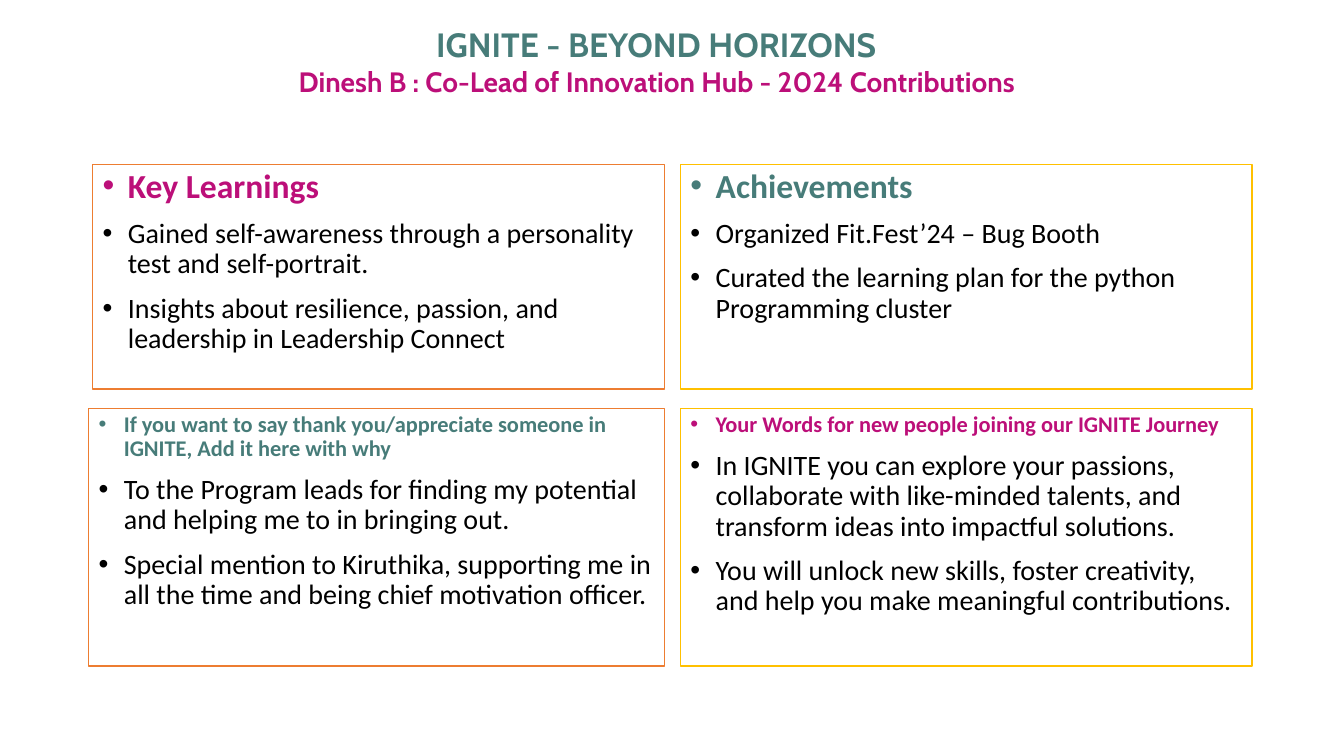
"""Build the IGNITE contributions slide: a title above a two-by-two grid of bulleted panels."""
from lxml import etree
from pptx import Presentation
from pptx.dml.color import RGBColor
from pptx.enum.shapes import MSO_SHAPE as Shape
from pptx.enum.text import MSO_ANCHOR as Anchor, MSO_AUTO_SIZE as AutoSize, PP_ALIGN as Align
from pptx.oxml.ns import qn
from pptx.util import Inches, Pt

TEAL, MAGENTA, BLACK, WHITE = "477C79", "BC0F79", "000000", "FFFFFF"
ORANGE, GOLD = "ED7D31", "FFC000"
LEFT, COL_W, COL_GAP = 0.92, 5.67, 0.16
ROWS = ((1.63, 2.23), (4.05, 2.56))
INDENT = 0.25

PANELS = (
    (0, 0, 0, ORANGE, "Key Learnings", 24, MAGENTA, (
        "Gained self-awareness through a personality test and self-portrait.",
        "Insights about resilience, passion, and leadership in Leadership Connect")),
    (1, 0, 0, GOLD, "Achievements", 24, TEAL, (
        "Organized Fit.Fest’24 – Bug Booth",
        "Curated the learning plan for the python Programming cluster")),
    (0, 1, 0.04, ORANGE,
     "If you want to say thank you/appreciate someone in IGNITE, Add it here with why", 16, TEAL, (
         "To the Program leads for finding my potential and helping me to in bringing out.",
         "Special mention to Kiruthika, supporting me in all the time and being chief "
         "motivation officer.")),
    (1, 1, 0, GOLD, "Your Words for new people joining our IGNITE Journey", 16, MAGENTA, (
        "In IGNITE you can explore your passions, collaborate with like-minded talents, "
        "and transform ideas into impactful solutions.",
        "You will unlock new skills, foster creativity, and help you make meaningful "
        "contributions.")),
)


def rgb(value):
    """Turn a hex string into a colour."""
    return RGBColor.from_string(value)


def assign(target, **values):
    """Set each named attribute on the target."""
    for name, value in values.items():
        setattr(target, name, value)


def add_paragraph(tf, index, text, size, color, font, bold, **layout):
    """Write one paragraph of a single run and return it."""
    p = tf.paragraphs[0] if index == 0 else tf.add_paragraph()
    assign(p, **layout)
    r = p.add_run()
    r.text = text
    assign(r.font, size=Pt(size), name=font, bold=bold)
    r.font.color.rgb = rgb(color)
    return p


def add_bullet(p):
    """Give a paragraph a hanging round bullet."""
    pPr = p._p.get_or_add_pPr()
    pPr.set("marL", str(Inches(INDENT)))
    pPr.set("indent", str(-Inches(INDENT)))
    etree.SubElement(pPr, qn("a:buFont")).set("typeface", "Arial")
    etree.SubElement(pPr, qn("a:buChar")).set("char", "•")


def add_title(s):
    """Add the centred two-line title."""
    box = s.shapes.add_textbox(Inches(2.77), Inches(0.19), Inches(7.55), Inches(1.58))
    tf = box.text_frame
    assign(tf, word_wrap=True, auto_size=AutoSize.SHAPE_TO_FIT_TEXT)
    lines = (("IGNITE - BEYOND HORIZONS ", 24, TEAL),
             ("Dinesh B : Co-Lead of Innovation Hub - 2024 Contributions ", 20, MAGENTA))
    for i, (text, size, color) in enumerate(lines):
        add_paragraph(tf, i, text, size, color, "Cabin", True, alignment=Align.CENTER)


def add_panel(s, col, row, outset, border, heading, size, color, points):
    """Add an outlined panel with a heading and bullet points in a grid cell."""
    top, height = ROWS[row]
    left = LEFT + col * (COL_W + COL_GAP) - outset
    sp = s.shapes.add_shape(Shape.RECTANGLE, Inches(left), Inches(top),
                            Inches(COL_W + outset), Inches(height))
    sp.shadow.inherit = False
    sp.fill.solid()
    sp.fill.fore_color.rgb = rgb(WHITE)
    sp.line.color.rgb = rgb(border)
    sp.line.width = Pt(1)
    tf = sp.text_frame
    assign(tf, word_wrap=True, vertical_anchor=Anchor.TOP)
    lines = [(heading, size, color, True)] + [(text, 20, BLACK, False) for text in points]
    for i, (text, pts, ink, bold) in enumerate(lines):
        p = add_paragraph(tf, i, text, pts, ink, "Calibri", bold, alignment=Align.LEFT,
                          line_spacing=0.9, space_before=Pt(10))
        add_bullet(p)


def main():
    """Assemble and save the slide."""
    prs = Presentation()
    assign(prs, slide_width=Inches(13.33), slide_height=Inches(7.5))
    s = prs.slides.add_slide(prs.slide_layouts[6])
    add_title(s)
    for panel in PANELS:
        add_panel(s, *panel)
    prs.save("out.pptx")


if __name__ == "__main__":
    main()
